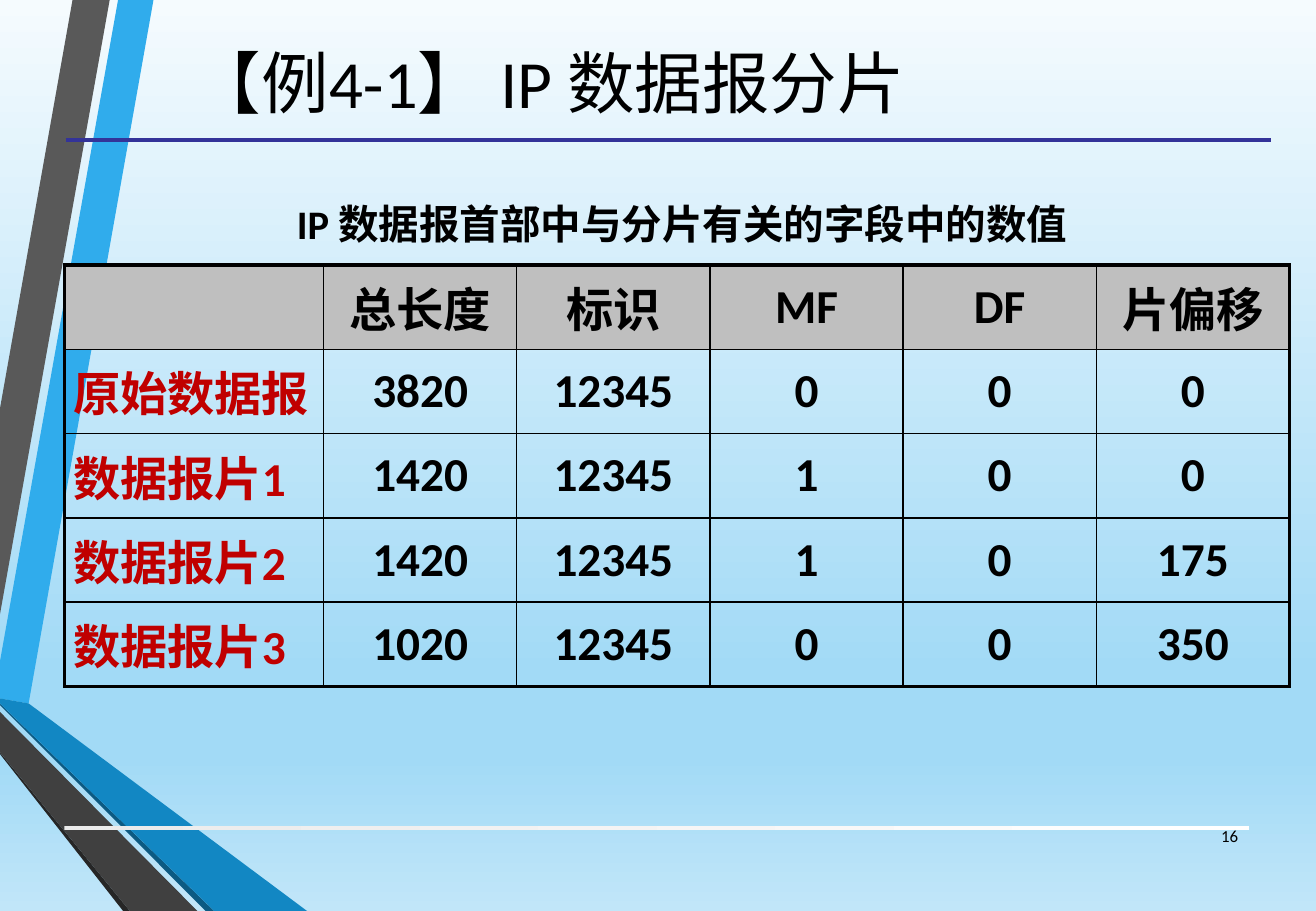
from lxml import etree
from pptx import Presentation
from pptx.dml.color import RGBColor
from pptx.enum.shapes import MSO_CONNECTOR, MSO_SHAPE
from pptx.enum.text import MSO_ANCHOR as ANCHOR, PP_ALIGN as ALIGN
from pptx.oxml.ns import qn
from pptx.util import Pt

FONT = "Calibri"
COLORS = {
    "text": "000000", "label": "C00000", "header": "BFBFBF", "rule": "333399",
    "blue": "30ACEC", "gray": "595959", "black": "262626",
    "navy": "0C5A82", "deep blue": "1287C3", "dark gray": "404040",
}
SKY = [(0, "F5FBFE"), (74, "A2DAF6"), (83, "A2DAF6"), (100, "C1E6F9")]
FOOTER_FADE = [(0, "EBEBEB"), (100, "FFFFFF")]

RIBBONS = [
    ("blue", [(0, 391.7), (0, 414), (17.3, 416.9), (91.4, 0), (69.8, 0)]),
    ("gray", [(64.8, 0), (43.2, 0), (0, 241.9), (0, 364.3)]),
    ("black", [(0, 445.7), (0, 447.1), (72.7, 540), (77, 540)]),
    ("navy", [(0, 416.9), (0, 417.6), (121.7, 540), (126.7, 540)]),
    ("deep blue", [(0, 416.9), (126.7, 540), (182.2, 540), (17.3, 416.9), (0, 414)]),
    ("dark gray", [(0, 445.7), (77, 540), (117.4, 540), (0, 421.9)]),
]

# text, (left, top, width, height), size, bold, alignment, anchor
TITLE = ("【例4-1】 IP 数据报分片", (31, 3.6, 589, 89.3), 40, False, ALIGN.CENTER, ANCHOR.MIDDLE)
CAPTION = ("IP 数据报首部中与分片有关的字段中的数值", (106.6, 114.5, 595.4, 36), 24, True,
           ALIGN.CENTER, ANCHOR.TOP)
PAGE_NUMBER = ("16", (704.2, 481, 36.7, 28.8), 10, False, ALIGN.RIGHT, ANCHOR.MIDDLE)

FRAGMENTS = [
    ("", "总长度", "标识", "MF", "DF", "片偏移"),
    ("原始数据报", "3820", "12345", "0", "0", "0"),
    ("数据报片1", "1420", "12345", "1", "0", "0"),
    ("数据报片2", "1420", "12345", "1", "0", "175"),
    ("数据报片3", "1020", "12345", "0", "0", "350"),
]
TABLE_LEFT, TABLE_TOP = 38.4, 157.1
LABEL_WIDTH, FIELD_WIDTH, ROW_HEIGHT = 153.4, 114.5, 49.95
OUTER_LINE, INNER_LINE = 2.25, 1


def rgb(name):
    return RGBColor.from_string(COLORS[name])


def set_gradient(fill, owner, stops, angle):
    """Fill with any number of stops; owner is the element that holds the fill."""
    fill.gradient()
    fill.gradient_angle = angle
    stop_list = owner.find(".//" + qn("a:gsLst"))
    for old in list(stop_list):
        stop_list.remove(old)
    for percent, color in stops:
        stop = etree.SubElement(stop_list, qn("a:gs"), pos=str(percent * 1000))
        etree.SubElement(stop, qn("a:srgbClr"), val=color)


def write(paragraph, text, align, size, bold, color="text"):
    paragraph.alignment = align
    run = paragraph.add_run()
    run.text = text
    for key, value in {"name": FONT, "size": Pt(size), "bold": bold}.items():
        setattr(run.font, key, value)
    run.font.color.rgb = rgb(color)


def add_text(slide, text, box, size, bold, align, anchor):
    frame = slide.shapes.add_textbox(*map(Pt, box)).text_frame
    frame.word_wrap = True
    frame.vertical_anchor = anchor
    write(frame.paragraphs[0], text, align, size, bold)


def set_borders(cell, widths):
    """Set the left, right, top and bottom lines, in that order."""
    properties = cell._tc.get_or_add_tcPr()
    for index, (side, width) in enumerate(zip("LRTB", widths)):
        line = etree.Element(qn("a:ln" + side), w=str(Pt(width)))
        solid = etree.SubElement(line, qn("a:solidFill"))
        etree.SubElement(solid, qn("a:srgbClr"), val=COLORS["text"])
        properties.insert(index, line)


def add_ribbons(slide):
    for color, points in RIBBONS:
        builder = slide.shapes.build_freeform(*points[0], scale=Pt(1))
        builder.add_line_segments(points[1:], close=True)
        ribbon = builder.convert_to_shape()
        ribbon.shadow.inherit = False
        ribbon.fill.solid()
        ribbon.fill.fore_color.rgb = rgb(color)
        ribbon.line.fill.background()


def add_rules(slide):
    footer = slide.shapes.add_shape(MSO_SHAPE.RECTANGLE, *map(Pt, (38.2, 489.6, 702, 2.2)))
    footer.shadow.inherit = False
    footer.line.fill.background()
    set_gradient(footer.fill, footer.element, FOOTER_FADE, 0)

    rule = slide.shapes.add_connector(MSO_CONNECTOR.STRAIGHT, *map(Pt, (38.9, 82.8, 753.1, 82.8)))
    rule.line.color.rgb = rgb("rule")
    rule.line.width = Pt(2.25)
    etree.SubElement(rule.element.spPr, qn("a:effectLst"))


def add_fragment_table(slide):
    last_row, last_column = len(FRAGMENTS) - 1, len(FRAGMENTS[0]) - 1
    width = LABEL_WIDTH + last_column * FIELD_WIDTH
    table = slide.shapes.add_table(
        last_row + 1, last_column + 1, Pt(TABLE_LEFT), Pt(TABLE_TOP),
        Pt(width), Pt(ROW_HEIGHT * len(FRAGMENTS))).table
    table.first_row = table.horz_banding = False
    for c, column in enumerate(table.columns):
        column.width = Pt(FIELD_WIDTH if c else LABEL_WIDTH)
    for r, values in enumerate(FRAGMENTS):
        table.rows[r].height = Pt(ROW_HEIGHT)
        for c, value in enumerate(values):
            cell = table.cell(r, c)
            layout = {"vertical_anchor": ANCHOR.MIDDLE, "margin_left": Pt(5),
                      "margin_right": Pt(5), "margin_top": 0, "margin_bottom": 0}
            for key, setting in layout.items():
                setattr(cell, key, setting)
            if r == 0:
                cell.fill.solid()
                cell.fill.fore_color.rgb = rgb("header")
            else:
                cell.fill.background()
            on_edge = (c == 0, c == last_column, r == 0, r == last_row)
            set_borders(cell, [OUTER_LINE if edge else INNER_LINE for edge in on_edge])
            if value:
                write(cell.text_frame.paragraphs[0], value,
                      ALIGN.CENTER if c else ALIGN.JUSTIFY, 28, True,
                      "text" if c or r == 0 else "label")


def main():
    prs = Presentation()
    prs.slide_width, prs.slide_height = Pt(780), Pt(540)
    slide = prs.slides.add_slide(prs.slide_layouts[6])
    set_gradient(slide.background.fill, slide.element, SKY, 270)
    add_ribbons(slide)
    add_rules(slide)
    add_text(slide, *TITLE)
    add_fragment_table(slide)
    add_text(slide, *CAPTION)
    add_text(slide, *PAGE_NUMBER)
    prs.save("out.pptx")


if __name__ == "__main__":
    main()
